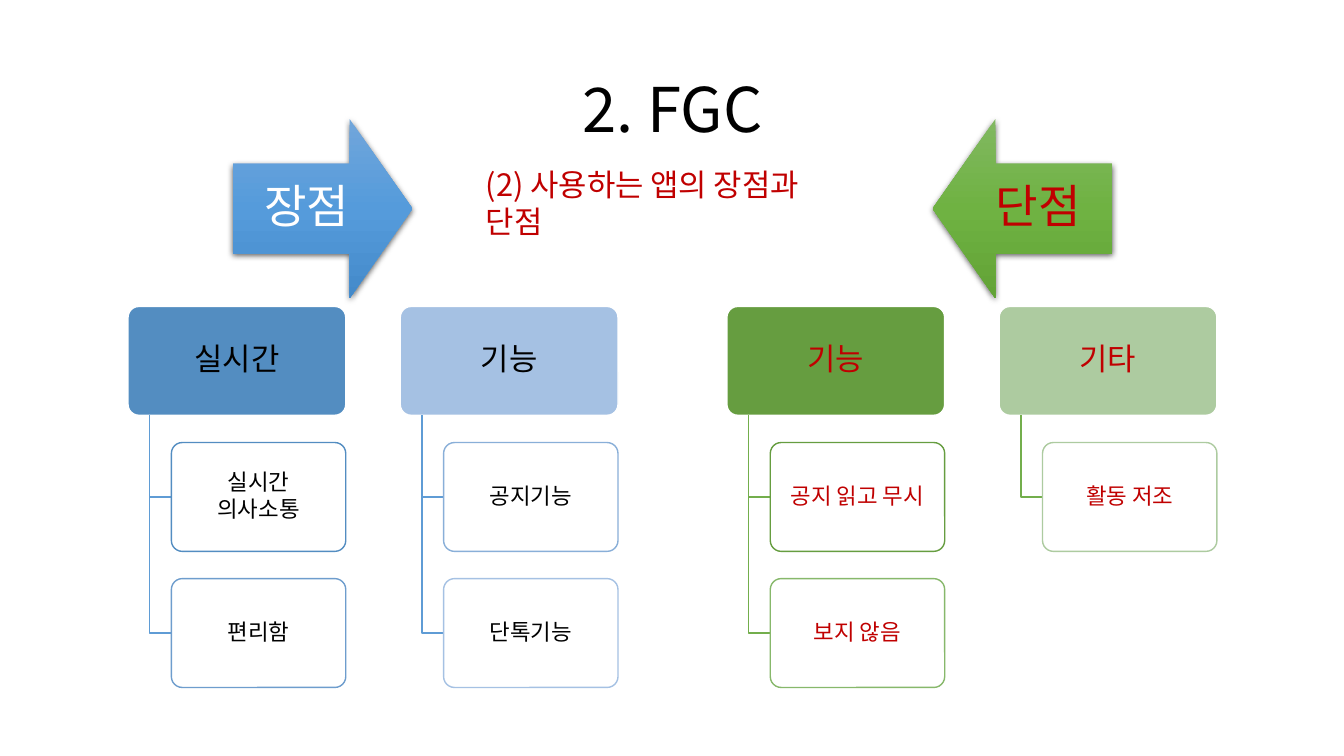
from copy import deepcopy

from lxml.etree import SubElement
from pptx import Presentation
from pptx.dml.color import RGBColor
from pptx.enum.shapes import MSO_SHAPE
from pptx.enum.text import MSO_ANCHOR, PP_ALIGN
from pptx.oxml.ns import qn
from pptx.util import Inches, Pt

FONT = "Noto Sans CJK KR"
BLACK = RGBColor(0x00, 0x00, 0x00)
WHITE = RGBColor(0xFF, 0xFF, 0xFF)
RED = RGBColor(0xC0, 0x00, 0x00)
BLUE_LINK = RGBColor(0x5F, 0x9C, 0xD5)
GREEN_LINK = RGBColor(0x73, 0xAE, 0x4C)
BLUE_SHADES = [RGBColor.from_string(c) for c in ("538DC1", "6E9DCD", "89AFD8", "A5C1E3")]
GREEN_SHADES = [RGBColor.from_string(c) for c in ("669D40", "87B86B", "ADCBA0")]
BLUE_GRADIENT = [RGBColor.from_string(c) for c in ("71A6DB", "559BDB", "448ACA")]
GREEN_GRADIENT = [RGBColor.from_string(c) for c in ("81B861", "6FB242", "62A336")]

TITLE = "2. FGC"
SUBTITLE = "(2) 사용하는 앱의 장점과 단점"
ARROWS = [
    ("장점", MSO_SHAPE.RIGHT_ARROW, 2.31, WHITE, BLUE_GRADIENT),
    ("단점", MSO_SHAPE.LEFT_ARROW, 9.25, RED, GREEN_GRADIENT),
]
TREES = [
    (1.27, BLACK, BLUE_LINK, [
        ("실시간", BLUE_SHADES[0], [(["실시간", "의사소통"], BLUE_SHADES[0]),
                                 (["편리함"], BLUE_SHADES[1])]),
        ("기능", BLUE_SHADES[3], [(["공지기능"], BLUE_SHADES[2]),
                                (["단톡기능"], BLUE_SHADES[3])]),
    ]),
    (7.21, RED, GREEN_LINK, [
        ("기능", GREEN_SHADES[0], [(["공지 읽고 무시"], GREEN_SHADES[0]),
                                 (["보지 않음"], GREEN_SHADES[1])]),
        ("기타", GREEN_SHADES[2], [(["활동 저조"], GREEN_SHADES[2])]),
    ]),
]

ARROW_TOP, ARROW_SIZE = 1.18, 1.78
HEAD_TOP, HEAD_WIDTH, BOX_HEIGHT = 3.04, 2.16, 1.08
COLUMN_PITCH, ROW_PITCH = 2.7, 1.35
CARD_INDENT, CARD_WIDTH = 0.43, 1.73
LINK_INDENT = CARD_INDENT / 2


def write(shape, lines, size, color, inset=0.05, align=PP_ALIGN.CENTER,
          anchor=MSO_ANCHOR.MIDDLE, spacing=0.9):
    frame = shape.text_frame
    frame.word_wrap = True
    frame.vertical_anchor = anchor
    frame.margin_left = frame.margin_right = Inches(inset)
    frame.margin_top = frame.margin_bottom = Inches(0.05)
    for index, line in enumerate(lines):
        para = frame.paragraphs[0] if index == 0 else frame.add_paragraph()
        para.alignment = align
        para.line_spacing = spacing
        if index < len(lines) - 1:
            para.space_after = Pt(2)
        span = para.add_run()
        span.text = line
        span.font.size = Pt(size)
        span.font.name = FONT
        span.font.color.rgb = color
        SubElement(span.font._element, qn("a:ea"), typeface=FONT)


def add_arrow(page, text, kind, left, text_color, gradient):
    arrow = page.shapes.add_shape(kind, Inches(left), Inches(ARROW_TOP),
                                  Inches(ARROW_SIZE), Inches(ARROW_SIZE))
    arrow.adjustments[0] = 0.5
    arrow.adjustments[1] = 0.35
    arrow.line.fill.background()
    arrow.fill.gradient()
    arrow.fill.gradient_angle = 270
    stop_list = arrow._element.spPr.find(".//" + qn("a:gsLst"))
    stop_list.append(deepcopy(stop_list[0]))
    for index, (stop, color) in enumerate(zip(arrow.fill.gradient_stops, gradient)):
        stop.position = index / 2
        stop.color.rgb = color
    arrow.shadow.inherit = False
    effects = arrow._element.spPr.find(qn("a:effectLst"))
    shadow = SubElement(effects, qn("a:outerShdw"), blurRad=str(Pt(4.5)), dist=str(Pt(1.5)),
                        dir="5400000", algn="ctr", rotWithShape="0")
    shade = SubElement(shadow, qn("a:srgbClr"), val="000000")
    SubElement(shade, qn("a:alpha"), val="63000")
    write(arrow, [text], 33, text_color)


def add_box(page, left, top, width, fill, line, lines, size, color):
    box = page.shapes.add_shape(MSO_SHAPE.ROUNDED_RECTANGLE, Inches(left), Inches(top),
                                Inches(width), Inches(BOX_HEIGHT))
    box.adjustments[0] = 0.1
    box.shadow.inherit = False
    box.fill.solid()
    box.fill.fore_color.rgb = fill
    box.line.color.rgb = line
    box.line.width = Pt(1)
    write(box, lines, size, color)


def add_link(page, left, bottom, color):
    top = HEAD_TOP + BOX_HEIGHT
    builder = page.shapes.build_freeform(Inches(left), Inches(top))
    builder.add_line_segments([(Inches(left), Inches(bottom)),
                               (Inches(left + LINK_INDENT), Inches(bottom))], close=False)
    link = builder.convert_to_shape()
    link.shadow.inherit = False
    link.fill.background()
    link.line.color.rgb = color
    link.line.width = Pt(1)


def main():
    deck = Presentation()
    deck.slide_width, deck.slide_height = Inches(13.33), Inches(7.5)
    page = deck.slides.add_slide(deck.slide_layouts[5])

    title = page.shapes.title
    title.left, title.top = Inches(0.92), Inches(0.39)
    title.width, title.height = Inches(11.5), Inches(1.45)
    write(title, [TITLE], 44, BLACK, 0.1)

    for arrow in ARROWS:
        add_arrow(page, *arrow)

    subtitle = page.shapes.add_textbox(Inches(4.72), Inches(1.6), Inches(3.9), Inches(0.47))
    write(subtitle, [SUBTITLE], 22, RED, 0.1, PP_ALIGN.LEFT, MSO_ANCHOR.TOP, 1.0)

    for tree_left, text_color, link_color, columns in TREES:
        for column, (heading, shade, cards) in enumerate(columns):
            left = tree_left + column * COLUMN_PITCH
            add_box(page, left, HEAD_TOP, HEAD_WIDTH, shade, WHITE, [heading], 22, text_color)
            for row, (lines, border) in enumerate(cards):
                top = HEAD_TOP + (row + 1) * ROW_PITCH
                add_link(page, left + LINK_INDENT, top + BOX_HEIGHT / 2, link_color)
                add_box(page, left + CARD_INDENT, top, CARD_WIDTH, WHITE, border,
                        lines, 16, text_color)

    deck.save("out.pptx")


if __name__ == "__main__":
    main()
